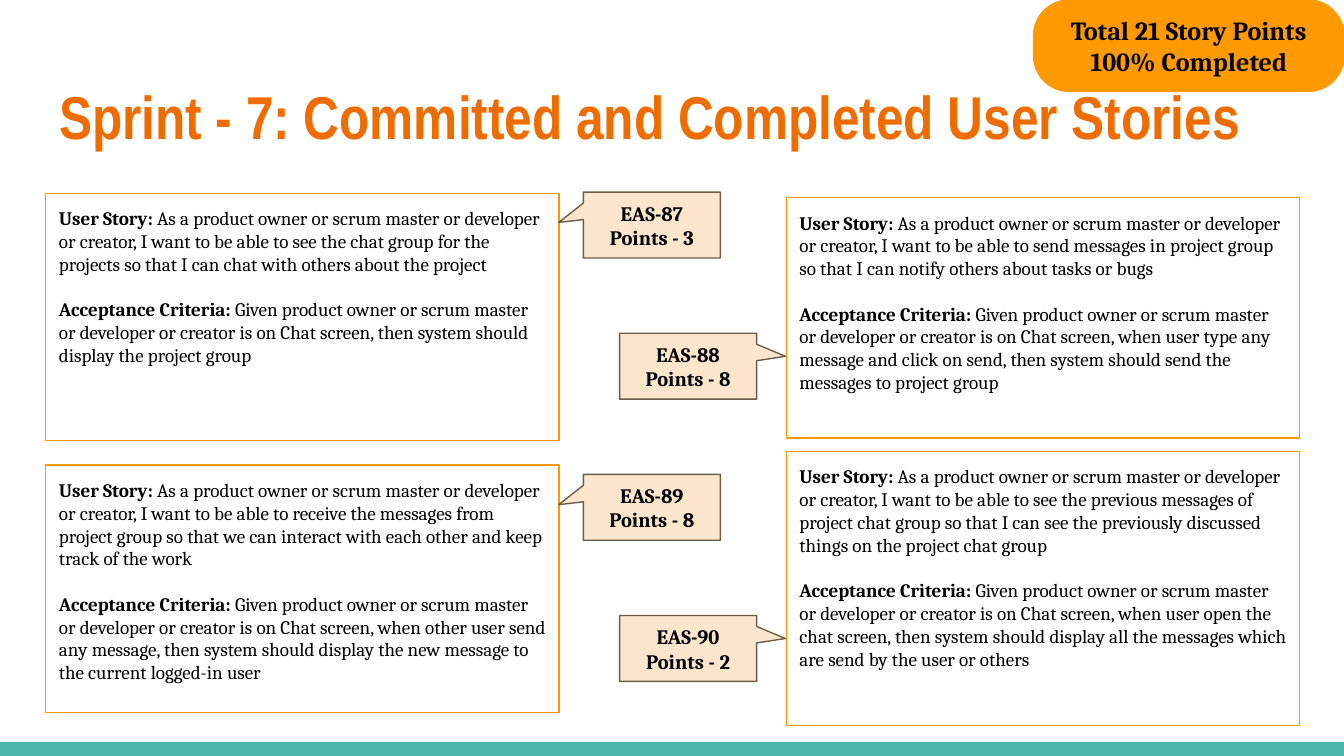
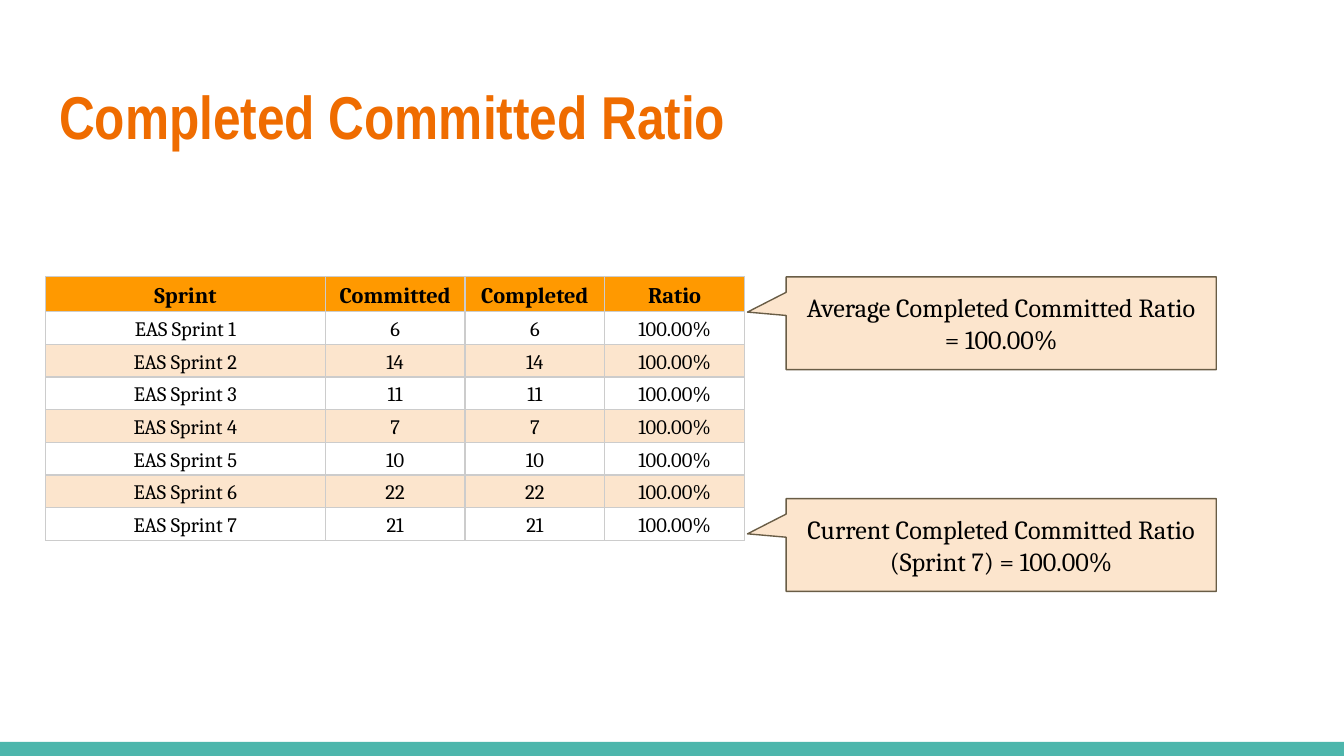
from lxml.etree import SubElement
from pptx import Presentation
from pptx.dml.color import RGBColor
from pptx.enum.shapes import MSO_SHAPE
from pptx.enum.text import MSO_ANCHOR, PP_ALIGN
from pptx.oxml.ns import qn
from pptx.util import Inches, Pt

COLORS = {
    "title": "EF6C00",
    "accent": "FF9900",
    "tint": "FCE5CD",
    "callout_line": "695D46",
    "footer": "4DB6AC",
    "grid": "CCCCCC",
    "text": "000000",
}
TITLE_FONT = "Arial Narrow"
BODY_FONT = "Cambria"
LEFT_COLUMN, RIGHT_COLUMN = 0.34, 5.85
TITLE_ONLY_LAYOUT = 5

WISH = ("As a product owner or scrum master or developer or creator, "
        "I want to be able to ")
GIVEN = ("Given product owner or scrum master or developer or creator "
         "is on Chat screen, ")

# Key, points, story box (left, top, height), wish, outcome
STORIES = [
    ("EAS-87", 3, (LEFT_COLUMN, 1.44, 1.84),
     "see the chat group for the projects so that I can chat with others "
     "about the project",
     "then system should display the project group"),
    ("EAS-88", 8, (RIGHT_COLUMN, 1.47, 1.79),
     "send messages in project group so that I can notify others about "
     "tasks or bugs",
     "when user type any message and click on send, then system should "
     "send the messages to project group"),
    ("EAS-89", 8, (LEFT_COLUMN, 3.46, 1.84),
     "receive the messages from project group so that we can interact with "
     "each other and keep track of the work",
     "when other user send any message, then system should display the new "
     "message to the current logged-in user"),
    ("EAS-90", 2, (RIGHT_COLUMN, 3.36, 2.04),
     "see the previous messages of project chat group so that I can see the "
     "previously discussed things on the project chat group",
     "when user open the chat screen, then system should display all the "
     "messages which are send by the user or others"),
]
SPRINT_POINTS = [6, 14, 11, 7, 10, 22, 21]


def rgb(name):
    return RGBColor.from_string(COLORS[name])


class Deck:
    """Holds the shared style and the slide being drawn."""

    def __init__(self):
        self.prs = Presentation()
        # Widescreen, 16:9
        self.prs.slide_width = Inches(10)
        self.prs.slide_height = Inches(10) * 9 // 16
        self.slide = None

    def new_slide(self, heading):
        layout = self.prs.slide_layouts[TITLE_ONLY_LAYOUT]
        self.slide = self.prs.slides.add_slide(layout)
        self.shape(MSO_SHAPE.RECTANGLE, (0, 5.52, 10, 0.11), fill="footer")
        title = self.slide.shapes.title
        title.left, title.top = Inches(LEFT_COLUMN), Inches(0.49)
        title.width, title.height = Inches(9.32), Inches(0.77)
        self.frame(title, MSO_ANCHOR.TOP)
        title.text_frame.text = heading
        self.style(title.text_frame.paragraphs[0], 32.4, True,
                   PP_ALIGN.LEFT, TITLE_FONT, "title")

    def frame(self, shape, anchor):
        text = shape.text_frame
        text.word_wrap = True
        text.vertical_anchor = anchor
        text.margin_left = text.margin_right = Inches(0.1)
        text.margin_top = text.margin_bottom = Inches(0.1)

    def style(self, paragraph, size, bold=None, align=PP_ALIGN.CENTER,
              font=BODY_FONT, color="text"):
        paragraph.alignment = align
        paragraph.font.name = font
        paragraph.font.size = Pt(size)
        paragraph.font.bold = bold
        paragraph.font.color.rgb = rgb(color)

    def shape(self, preset, box, fill=None, line=None, adjustments=()):
        shape = self.slide.shapes.add_shape(preset, *map(Inches, box))
        shape.shadow.inherit = False
        if fill:
            shape.fill.solid()
            shape.fill.fore_color.rgb = rgb(fill)
        else:
            shape.fill.background()
        if line:
            shape.line.color.rgb = rgb(line)
            shape.line.width = Pt(0.75)
        else:
            shape.line.fill.background()
        for index, value in enumerate(adjustments):
            shape.adjustments[index] = value
        return shape

    def label(self, shape, lines, size, bold):
        self.frame(shape, MSO_ANCHOR.MIDDLE)
        shape.text_frame.text = "\n".join(lines)
        for paragraph in shape.text_frame.paragraphs:
            self.style(paragraph, size, bold)

    def badge(self, box, lines):
        pill = self.shape(MSO_SHAPE.ROUNDED_RECTANGLE, box, "accent",
                          "accent", [0.39])
        self.label(pill, lines, 14, True)

    def callout(self, box, tip, lines, size, bold=False):
        bubble = self.shape(MSO_SHAPE.ROUNDED_RECTANGULAR_CALLOUT, box,
                            "tint", "callout_line", [*tip, 0])
        self.label(bubble, lines, size, bold)

    def story(self, left, top, height, sections):
        card = self.shape(MSO_SHAPE.RECTANGLE, (left, top, 3.82, height),
                          line="accent")
        self.frame(card, MSO_ANCHOR.TOP)
        text = card.text_frame
        for index, (heading, body) in enumerate(sections):
            paragraph = text.add_paragraph() if index else text.paragraphs[0]
            if index:
                paragraph.space_before = Pt(12)
            self.style(paragraph, 10.2, align=PP_ALIGN.LEFT)
            lead = paragraph.add_run()
            lead.text = heading + ": "
            lead.font.bold = True
            paragraph.add_run().text = body

    def table(self, left, top, widths, heights, rows):
        frame = self.slide.shapes.add_table(
            len(rows), len(widths), Inches(left), Inches(top),
            Inches(sum(widths)), Inches(sum(heights)))
        table = frame.table
        table.first_row = table.horz_banding = False
        for column, width in zip(table.columns, widths):
            column.width = Inches(width)
        for r, values in enumerate(rows):
            table.rows[r].height = Inches(heights[r])
            for c, value in enumerate(values):
                self.cell(table.cell(r, c), value, r)

    def cell(self, cell, value, row):
        is_header = row == 0
        cell.margin_left = cell.margin_right = Inches(0.03)
        cell.margin_top = cell.margin_bottom = Inches(0.02)
        cell.vertical_anchor = MSO_ANCHOR.MIDDLE
        cell.text = str(value)
        paragraph = cell.text_frame.paragraphs[0]
        paragraph.line_spacing = 1.15
        self.style(paragraph, 12 if is_header else 11, is_header)
        # Borders come before the fill in the cell properties
        properties = cell._tc.get_or_add_tcPr()
        for side in ("a:lnL", "a:lnR", "a:lnT", "a:lnB"):
            border = SubElement(properties, qn(side), w=str(Pt(0.75)))
            solid = SubElement(border, qn("a:solidFill"))
            SubElement(solid, qn("a:srgbClr"), val=COLORS["grid"])
        if row % 2:
            cell.fill.background()
        else:
            cell.fill.solid()
            cell.fill.fore_color.rgb = rgb("accent" if is_header else "tint")


def user_stories(deck):
    deck.new_slide("Sprint - 7: Committed and Completed User Stories")
    deck.badge((7.69, 0, 2.31, 0.68),
               ["Total 21 Story Points", "100% Completed"])
    for _, _, place, wish, outcome in STORIES:
        deck.story(*place, [("User Story", WISH + wish),
                            ("Acceptance Criteria", GIVEN + outcome)])
    # Each callout points at the story on its own side
    for index, (key, points, place, _, _) in enumerate(STORIES):
        on_left = place[0] == LEFT_COLUMN
        left = 4.34 if on_left else 4.61
        tip = (-0.68, -0.04) if on_left else (0.71, -0.15)
        deck.callout((left, 1.43 + 1.05 * index, 1.02, 0.49), tip,
                     [key, f"Points - {points}"], 11, True)


def completed_ratio(deck):
    deck.new_slide("Completed Committed Ratio")
    for top, message in (
            (3.71, "Current Completed Committed Ratio (Sprint 7) = 100.00%"),
            (2.06, "Average Completed Committed Ratio = 100.00%")):
        deck.callout((RIGHT_COLUMN, top, 3.2, 0.69), (-0.59, -0.12),
                     [message], 14)
    # Every sprint completed all the points it committed to
    rows = [("Sprint", "Committed", "Completed", "Ratio")]
    rows += [(f"EAS Sprint {number}", points, points, "100.00%")
             for number, points in enumerate(SPRINT_POINTS, 1)]
    deck.table(LEFT_COLUMN, 2.06, [2.08] + [1.04] * 3,
               [0.24] + [0.23] * len(SPRINT_POINTS), rows)


def main():
    deck = Deck()
    user_stories(deck)
    completed_ratio(deck)
    deck.prs.save("out.pptx")


if __name__ == "__main__":
    main()
